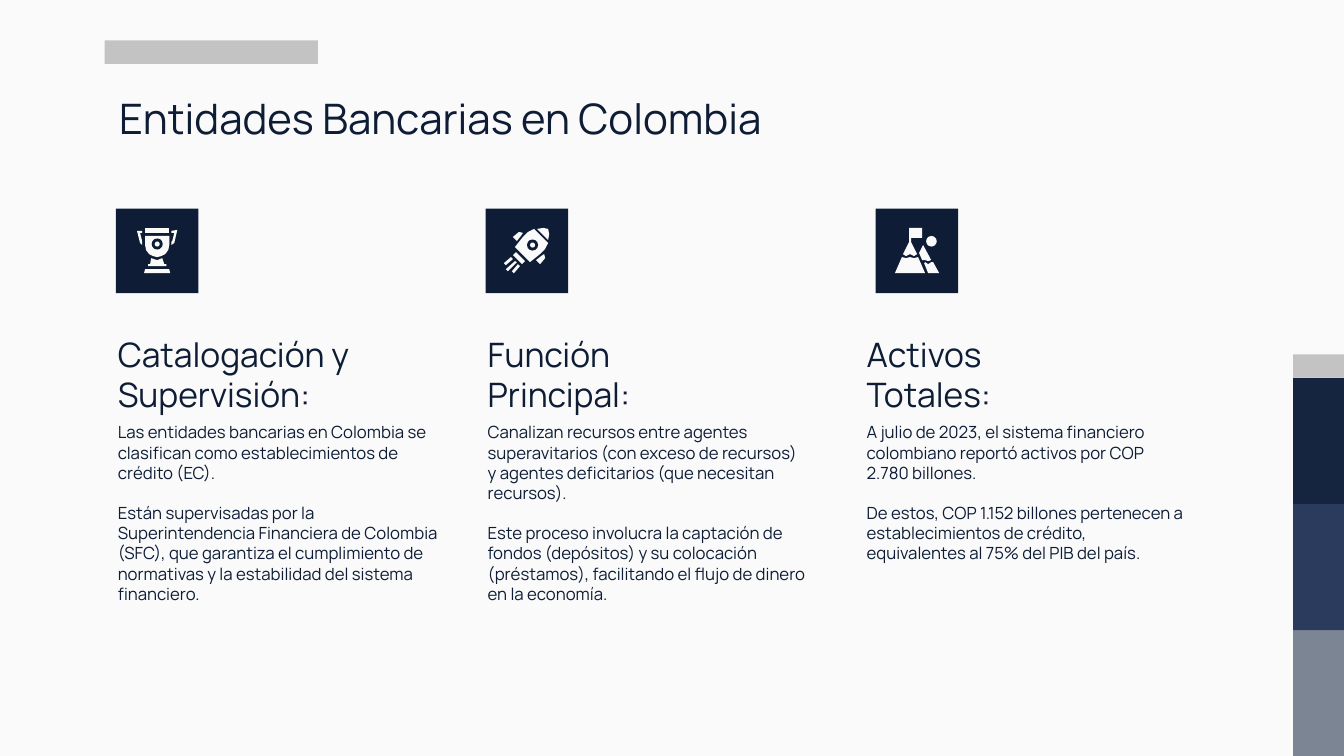
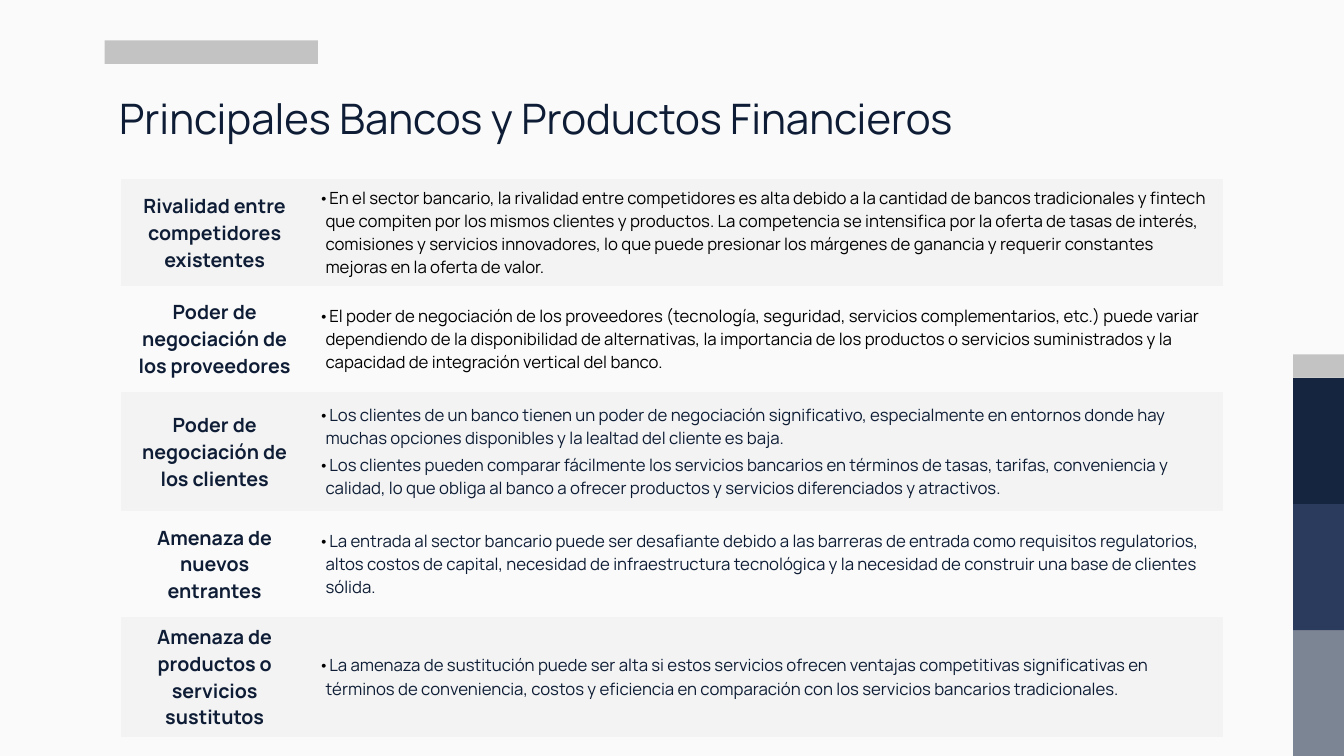
from pptx import Presentation
from pptx.dml.color import RGBColor
from pptx.enum import shapes, text
from pptx import util as u
from lxml import etree

NAVY = RGBColor(0x0E, 0x1D, 0x35)
DEEP = RGBColor(0x15, 0x25, 0x3F)
BLUE = RGBColor(0x2B, 0x3B, 0x5D)
SLATE = RGBColor(0x7C, 0x85, 0x94)
GREY = RGBColor(0xC3, 0xC3, 0xC3)
STRIPE = RGBColor(0xF3, 0xF3, 0xF3)
PAPER = RGBColor(0xFA, 0xFA, 0xFA)
BLACK = RGBColor(0, 0, 0)
FONT = "Manrope"
NS = "{http://schemas.openxmlformats.org/drawingml/2006/main}"
RECT = shapes.MSO_SHAPE.RECTANGLE
OVAL = shapes.MSO_SHAPE.OVAL

deck = Presentation()
deck.slide_width = u.Cm(33.87)
deck.slide_height = u.Cm(19.05)


def paint(shape, color):
    shape.shadow.inherit = False
    shape.fill.solid()
    shape.fill.fore_color.rgb = color
    shape.line.fill.background()


def write(slide, box, lines, size, gap=0, low=False):
    frame = slide.shapes.add_textbox(*[u.Cm(v) for v in box]).text_frame
    frame.word_wrap = True
    frame.margin_left = frame.margin_right = u.Cm(0.33)
    frame.margin_top = frame.margin_bottom = u.Cm(0.33)
    if low:
        frame.vertical_anchor = text.MSO_ANCHOR.BOTTOM
    frame.text = "\n".join(lines)
    for par in frame.paragraphs:
        par.font.name = FONT
        par.font.size = u.Pt(size)
        par.font.color.rgb = NAVY
        par.line_spacing = 1.0
        par.space_after = u.Pt(gap)


bands = [
    (32.59, 15.88, 1.28, 3.17, SLATE),
    (32.59, 12.7, 1.28, 3.18, BLUE),
    (32.59, 9.52, 1.28, 3.18, DEEP),
    (32.59, 8.93, 1.28, 0.59, GREY),
    (2.64, 1.02, 5.37, 0.59, GREY),
]
titles = ["Entidades Bancarias en Colombia", "Principales Bancos y Productos Financieros"]
pages = []
for title in titles:
    page = deck.slides.add_slide(deck.slide_layouts[6])
    page.background.fill.solid()
    page.background.fill.fore_color.rgb = PAPER
    for *box, color in bands:
        paint(page.shapes.add_shape(RECT, *[u.Cm(v) for v in box]), color)
    write(page, (2.67, 2.01, 28.52, 2.13), [title], 30)
    pages.append(page)
first, second = pages

trophy = [
    [(35, 49), (34, 55), (32, 55), (32, 57), (50, 57), (50, 55), (48, 55), (46, 49), (41, 51)],
    [(29, 60), (28, 64), (54, 64), (53, 60)],
    [(29, 27), (29, 36), (30, 41), (33, 45), (37, 47), (41, 48), (45, 47), (49, 45), (52, 41),
     (53, 36), (53, 27)],
    [(29, 19), (29, 24), (53, 24), (53, 19)],
    [(61, 21), (55, 22), (55, 24), (58, 24), (56, 32), (55, 33), (55, 36), (58, 34)],
    [(21, 22), (24, 34), (26, 36), (26, 33), (26, 32), (24, 24), (26, 24), (26, 22)],
]
rocket = [
    [(30, 43), (27, 46), (36, 55), (39, 52)],
    [(33, 23), (27, 28), (31, 32), (35, 27), (37, 24)],
    [(58, 45), (55, 47), (50, 51), (54, 55), (59, 49)],
    [(25, 48), (18, 54), (20, 56), (27, 50)],
    [(29, 52), (20, 60), (22, 62), (31, 53)],
    [(32, 55), (26, 62), (28, 64), (34, 57)],
    [(57, 19), (51, 20), (62, 31), (63, 25), (62, 20)],
    [(48, 20), (42, 23), (37, 28), (29, 38), (44, 53), (54, 45), (59, 40), (62, 34)],
]
peak = [
    [(42, 48), (38, 49), (34, 48), (30, 49), (26, 48), (19, 64), (49, 64)],
    [(33, 19), (33, 33), (27, 45), (30, 47), (34, 45), (38, 47), (41, 45), (35, 33), (35, 29),
     (46, 29), (46, 19)],
    [(47, 36), (43, 44), (46, 51), (49, 51), (52, 52), (55, 51)],
    [(55, 53), (52, 55), (49, 53), (48, 54), (52, 64), (63, 64), (57, 53)],
]
columns = [
    (2.64, 2.92, ["Catalogación y Supervisión:"],
     ["Las entidades bancarias en Colombia se clasifican como establecimientos de crédito (EC).",
      "Están supervisadas por la Superintendencia Financiera de Colombia (SFC), que garantiza "
      "el cumplimiento de normativas y la estabilidad del sistema financiero."],
     trophy, [(35.5, 29.5, 11, NAVY), (38.5, 32.5, 5, PAPER)]),
    (11.96, 12.24, ["Función", "Principal:"],
     ["Canalizan recursos entre agentes superavitarios (con exceso de recursos) y agentes "
      "deficitarios (que necesitan recursos).",
      "Este proceso involucra la captación de fondos (depósitos) y su colocación (préstamos), "
      "facilitando el flujo de dinero en la economía."],
     rocket, [(41, 30.5, 11, NAVY), (44, 33.5, 5, PAPER)]),
    (21.51, 22.07, ["Activos", "Totales:"],
     ["A julio de 2023, el sistema financiero colombiano reportó activos por COP 2.780 billones.",
      "De estos, COP 1.152 billones pertenecen a establecimientos de crédito, equivalentes al "
      "75% del PIB del país."],
     peak, [(50, 27, 10.5, PAPER)]),
]
unit = u.Cm(0.0254)
top = u.Cm(5.26)
for left, edge, head, body, parts, discs in columns:
    write(first, (left, 8.15, 8.73, 2.62), head, 24, low=True)
    write(first, (left, 10.31, 8.73, 6.73), body, 12, gap=14.4)
    side = u.Cm(edge)
    paint(first.shapes.add_shape(RECT, side, top, u.Cm(2.08), u.Cm(2.13)), NAVY)
    for points in parts:
        pen = first.shapes.build_freeform(*points[0], scale=unit)
        pen.add_line_segments(points[1:], close=True)
        paint(pen.convert_to_shape(side, top), PAPER)
    for x, y, size, color in discs:
        spot = [int(v * unit) for v in (x, y, size, size)]
        disc = first.shapes.add_shape(OVAL, side + spot[0], top + spot[1], *spot[2:])
        paint(disc, color)

forces = [
    ("Rivalidad entre competidores existentes", BLACK,
     ["En el sector bancario, la rivalidad entre competidores es alta debido a la cantidad de "
      "bancos tradicionales y fintech que compiten por los mismos clientes y productos. La "
      "competencia se intensifica por la oferta de tasas de interés, comisiones y servicios "
      "innovadores, lo que puede presionar los márgenes de ganancia y requerir constantes "
      "mejoras en la oferta de valor."]),
    ("Poder de negociación de los proveedores", BLACK,
     ["El poder de negociación de los proveedores (tecnología, seguridad, servicios "
      "complementarios, etc.) puede variar dependiendo de la disponibilidad de alternativas, la "
      "importancia de los productos o servicios suministrados y la capacidad de integración "
      "vertical del banco."]),
    ("Poder de negociación de los clientes", NAVY,
     ["Los clientes de un banco tienen un poder de negociación significativo, especialmente en "
      "entornos donde hay muchas opciones disponibles y la lealtad del cliente es baja.",
      "Los clientes pueden comparar fácilmente los servicios bancarios en términos de tasas, "
      "tarifas, conveniencia y calidad, lo que obliga al banco a ofrecer productos y servicios "
      "diferenciados y atractivos."]),
    ("Amenaza de nuevos entrantes", NAVY,
     ["La entrada al sector bancario puede ser desafiante debido a las barreras de entrada como "
      "requisitos regulatorios, altos costos de capital, necesidad de infraestructura "
      "tecnológica y la necesidad de construir una base de clientes sólida."]),
    ("Amenaza de productos o servicios sustitutos", NAVY,
     ["La amenaza de sustitución puede ser alta si estos servicios ofrecen ventajas competitivas "
      "significativas en términos de conveniencia, costos y eficiencia en comparación con los "
      "servicios bancarios tradicionales."]),
]
heights = [2.68, 2.68, 3, 2.68, 3]
frame = second.shapes.add_table(5, 2, u.Cm(3.05), u.Cm(4.52), u.Cm(27.76), u.Cm(sum(heights)))
table = frame.table
table.first_row = table.horz_banding = False
style = table._tbl.tblPr.find(NS + "tableStyleId")
style.text = "{2D5ABB26-0587-4C30-8999-92F81FD0307C}"
table.columns[0].width = u.Cm(4.72)
table.columns[1].width = u.Cm(23.04)
for row, (name, color, notes) in enumerate(forces):
    table.rows[row].height = u.Cm(heights[row])
    label, detail = table.cell(row, 0), table.cell(row, 1)
    label.text = name
    label.margin_left = label.margin_right = u.Cm(0.35)
    detail.text = "\n".join(notes)
    for cell, size, ink in ((label, 14, NAVY), (detail, 12, color)):
        cell.vertical_anchor = text.MSO_ANCHOR.MIDDLE
        if row % 2 == 0:
            cell.fill.solid()
            cell.fill.fore_color.rgb = STRIPE
        else:
            cell.fill.background()
        for par in cell.text_frame.paragraphs:
            par.font.name = FONT
            par.font.size = u.Pt(size)
            par.font.color.rgb = ink
            par.font.bold = cell is label
    label.text_frame.paragraphs[0].alignment = text.PP_ALIGN.CENTER
    for par in detail.text_frame.paragraphs:
        par.space_after = u.Pt(3)
        props = par._p.get_or_add_pPr()
        props.set("marL", str(u.Cm(0.18)))
        props.set("indent", str(u.Cm(-0.48)))
        tint = etree.Element(NS + "buClr")
        etree.SubElement(tint, NS + "srgbClr", val=str(BLACK))
        face = etree.Element(NS + "buFont", typeface=FONT)
        mark = etree.Element(NS + "buChar", char="•")
        spot = props.index(props.find(NS + "spcAft")) + 1
        for step, part in enumerate((tint, face, mark)):
            props.insert(spot + step, part)

deck.save("out.pptx")
